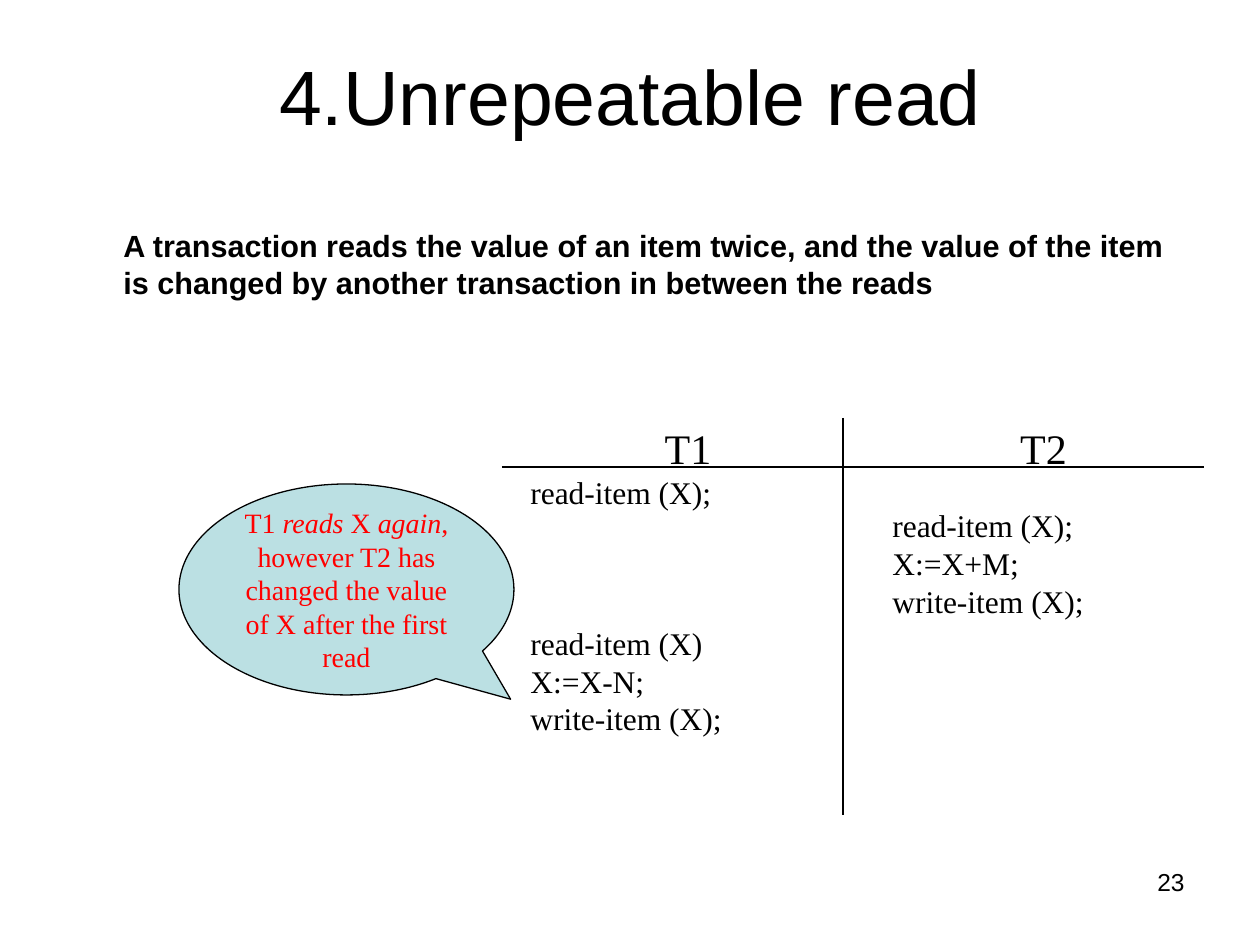
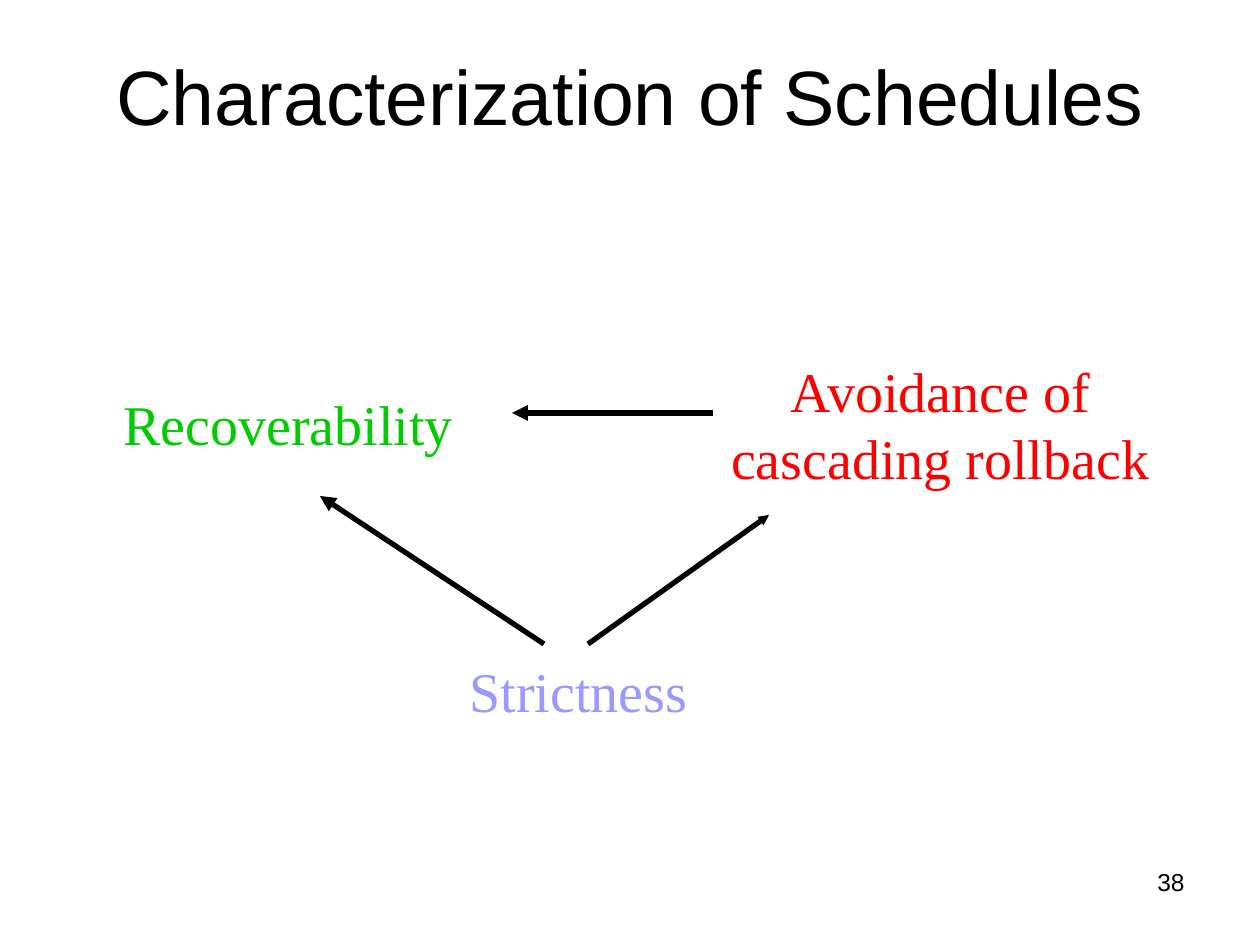
from lxml import etree
from pptx import Presentation, util as u
from pptx.dml.color import RGBColor
from pptx.enum import shapes, text
from pptx.oxml import ns

SCALE = 914400 / 126
BLACK = RGBColor(0, 0, 0)
RED = RGBColor(0xFF, 0, 0)
GREEN = RGBColor(0, 0xCC, 0)
LILAC = RGBColor(0x99, 0x99, 0xFF)
PALE_TEAL = RGBColor(0xBB, 0xE0, 0xE3)
SANS, SERIF = "Arial", "Times New Roman"
LEFT, CENTER, RIGHT = text.PP_ALIGN.LEFT, text.PP_ALIGN.CENTER, text.PP_ALIGN.RIGHT
LINE_HEIGHT = 1.2

TITLE_BOX = (63, 32, 1135, 126)
NUMBER_BOX = (903, 861, 294, 66)

DEFINITION = ("A transaction reads the value of an item twice, and the value of the item "
              "is changed by another transaction in between the reads")
DEFINITION_BOX = (111, 221, 1086, 131)

# Each code line is (blank space above in points, statement).
SCHEDULE = [
    ("T1", (518, 416, 340, 474), [
        (0, "read-item (X);"), (64.8, "read-item (X)"),
        (0, "X:=X-N;"), (0, "write-item (X);")]),
    ("T2", (880, 416, 327, 474), [
        (19.2, "read-item (X);"), (0, "X:=X+M;"), (0, "write-item (X);")]),
]
SCHEDULE_RULES = [((502, 467), (1204, 467)), ((843, 418), (843, 815))]

CALLOUT_BOX = (179, 484, 335, 211)
CALLOUT_TIP = (0.49, 0.52)
CALLOUT_RUNS = [("T1 ", False), ("reads", True), (" X ", False), ("again", True),
                (", however T2 has changed the value of X after the first read", False)]

PROPERTIES = [
    ("Recoverability", (111, 383, 355, 81), GREEN, LEFT, False),
    ("Avoidance of cascading rollback", (695, 350, 491, 147), RED, CENTER, True),
    ("Strictness", (457, 650, 243, 81), LILAC, LEFT, False),
]
IMPLICATIONS = [
    ((713, 413), (512, 413), "med"),
    ((544, 644), (320, 496), "med"),
    ((588, 644), (769, 515), "sm"),
]


def px(*lengths):
    return [u.Emu(round(length * SCALE)) for length in lengths]


def write(paragraph, runs, size, font, color=BLACK, align=LEFT, bold=False, before=0):
    paragraph.alignment = align
    paragraph.line_spacing = u.Pt(size * LINE_HEIGHT)
    paragraph.space_before = u.Pt(before)
    for words, italic in runs:
        run = paragraph.add_run()
        run.text = words
        run.font.name = font
        run.font.size = u.Pt(size)
        run.font.bold = bold
        run.font.italic = italic
        run.font.color.rgb = color


def add_frame(slide, box, wrap=True, anchor=text.MSO_ANCHOR.TOP):
    frame = slide.shapes.add_textbox(*px(*box)).text_frame
    frame.word_wrap = wrap
    frame.vertical_anchor = anchor
    return frame


def add_line(slide, start, end, width, head=None):
    connector = slide.shapes.add_connector(
        shapes.MSO_CONNECTOR.STRAIGHT, *px(*start, *end))
    connector.line.color.rgb = BLACK
    connector.line.width = u.Pt(width)
    if head:
        etree.SubElement(connector.line._get_or_add_ln(), ns.qn("a:tailEnd"),
                         type="triangle", w=head, len=head)
    etree.SubElement(connector._element.spPr, ns.qn("a:effectLst"))


def add_slide(presentation, title, number):
    slide = presentation.slides.add_slide(presentation.slide_layouts[6])
    write(add_frame(slide, NUMBER_BOX).paragraphs[0],
          [(number, False)], 14, SANS, align=RIGHT)
    write(add_frame(slide, TITLE_BOX, anchor=text.MSO_ANCHOR.MIDDLE).paragraphs[0],
          [(title, False)], 44, SANS, align=CENTER)
    return slide


def add_callout(slide):
    callout = slide.shapes.add_shape(
        shapes.MSO_SHAPE.OVAL_CALLOUT, *px(*CALLOUT_BOX))
    callout.adjustments[0], callout.adjustments[1] = CALLOUT_TIP
    callout.shadow.inherit = False
    callout.fill.solid()
    callout.fill.fore_color.rgb = PALE_TEAL
    callout.line.color.rgb = BLACK
    callout.line.width = u.Pt(0.75)
    frame = callout.text_frame
    frame.word_wrap = True
    frame.vertical_anchor = text.MSO_ANCHOR.MIDDLE
    write(frame.paragraphs[0], CALLOUT_RUNS, 16, SERIF, RED, CENTER)


def build_unrepeatable_read(presentation):
    slide = add_slide(presentation, "4.Unrepeatable read", "23")
    write(add_frame(slide, DEFINITION_BOX).paragraphs[0],
          [(DEFINITION, False)], 17.5, SANS, bold=True, before=7)
    for name, box, statements in SCHEDULE:
        frame = add_frame(slide, box)
        write(frame.paragraphs[0], [(name, False)], 24, SERIF, align=CENTER)
        for gap, statement in statements:
            write(frame.add_paragraph(), [(statement, False)], 18, SERIF, before=gap)
    for start, end in SCHEDULE_RULES:
        add_line(slide, start, end, 0.75)
    add_callout(slide)


def build_characterization(presentation):
    slide = add_slide(presentation, "Characterization of Schedules", "38")
    for name, box, color, align, wrap in PROPERTIES:
        frame = add_frame(slide, box, wrap)
        frame.auto_size = text.MSO_AUTO_SIZE.SHAPE_TO_FIT_TEXT
        write(frame.paragraphs[0], [(name, False)], 32, SERIF, color, align)
    for start, end, head in IMPLICATIONS:
        add_line(slide, start, end, 3, head)


def main():
    presentation = Presentation()
    presentation.slide_width, presentation.slide_height = px(1260, 945)
    build_unrepeatable_read(presentation)
    build_characterization(presentation)
    presentation.save("out.pptx")


if __name__ == "__main__":
    main()
